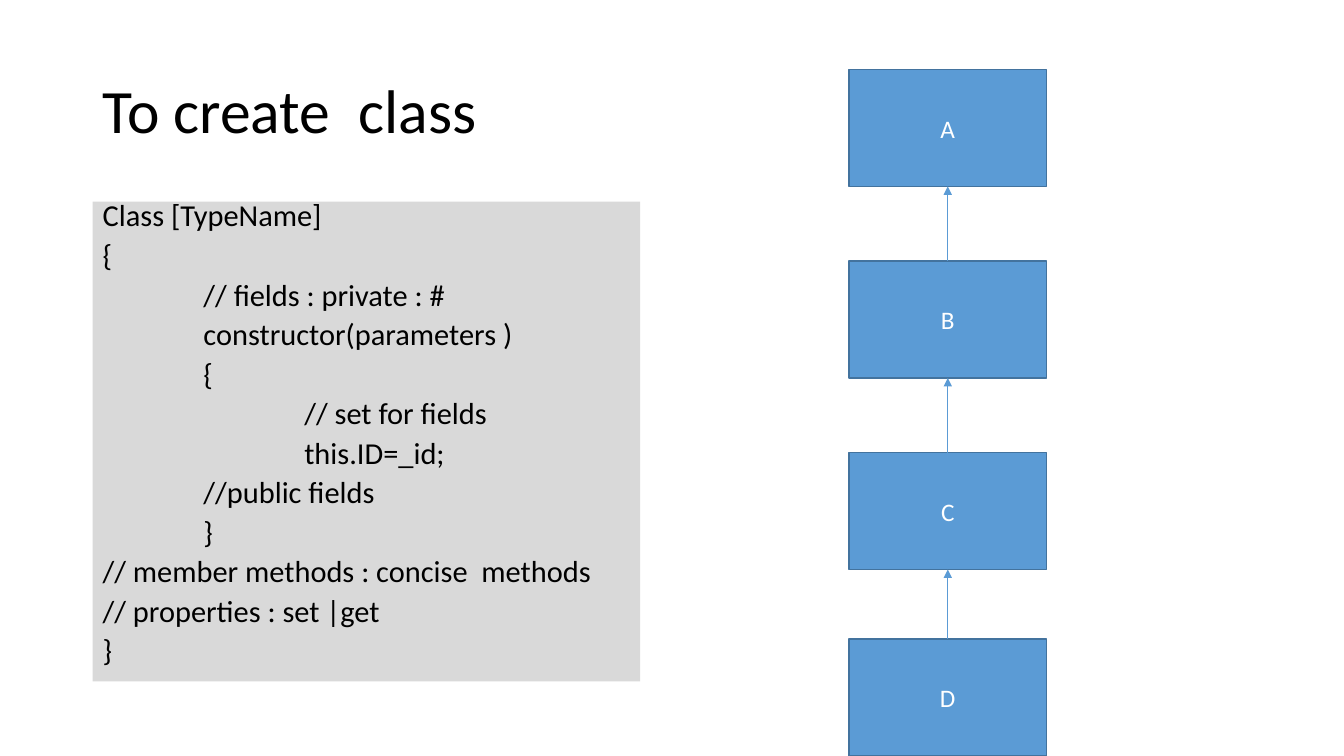
from dataclasses import dataclass

from lxml import etree
from pptx import Presentation
from pptx.dml.color import RGBColor
from pptx.enum.shapes import MSO_CONNECTOR, MSO_SHAPE
from pptx.enum.text import MSO_ANCHOR, PP_ALIGN
from pptx.oxml.ns import qn
from pptx.util import Inches, Pt

RECTANGLE = MSO_SHAPE.RECTANGLE
STRAIGHT = MSO_CONNECTOR.STRAIGHT
TOP, MIDDLE = MSO_ANCHOR.TOP, MSO_ANCHOR.MIDDLE
LEFT, CENTER = PP_ALIGN.LEFT, PP_ALIGN.CENTER


@dataclass(frozen=True)
class Theme:
    font: str = "Calibri"
    ink: str = "000000"
    code_fill: str = "D9D9D9"
    class_fill: str = "5B9BD5"
    class_border: str = "43739E"
    class_ink: str = "FFFFFF"
    title_size: float = 44
    code_size: float = 21.7
    class_size: float = 18


THEME = Theme()

TITLE = "To create  class"
CODE = """Class [TypeName]
{
\t// fields : private : #
\tconstructor(parameters )
\t{
\t\t// set for fields
\t\tthis.ID=_id;
\t//public fields
\t}
// member methods : concise  methods
// properties : set |get
}"""

# Inheritance chain: class name and top edge, base class first
CLASS_TOPS = {"A": 0.69, "B": 2.59, "C": 4.49, "D": 6.34}
CLASS_LEFT, CLASS_WIDTH, CLASS_HEIGHT = 8.42, 1.96, 1.16
ARROW_X = CLASS_LEFT + CLASS_WIDTH / 2


def color(hex_code):
    return RGBColor.from_string(hex_code)


def add_tab_stops(paragraph, stops):
    tab_list = etree.SubElement(paragraph._p.get_or_add_pPr(), qn("a:tabLst"))
    for stop in stops:
        etree.SubElement(tab_list, qn("a:tab"), pos=str(Inches(stop)), algn="l")


def write_text(shape, text, size, ink=THEME.ink, align=LEFT, anchor=TOP,
               line_spacing=1.0, space_before=0, tab_stops=()):
    """Fill a shape with one paragraph per line of text."""
    frame = shape.text_frame
    frame.word_wrap = True
    frame.vertical_anchor = anchor
    for index, line in enumerate(text.split("\n")):
        paragraph = frame.add_paragraph() if index else frame.paragraphs[0]
        if tab_stops:
            add_tab_stops(paragraph, tab_stops)
        paragraph.alignment = align
        paragraph.line_spacing = line_spacing
        paragraph.space_before = Pt(space_before if index else 0)
        run = paragraph.add_run()
        run.text = line
        run.font.name = THEME.font
        run.font.size = Pt(size)
        run.font.color.rgb = color(ink)


def add_panel(slide, left, top, width, height, fill, border=None):
    panel = slide.shapes.add_shape(
        RECTANGLE, Inches(left), Inches(top), Inches(width), Inches(height))
    panel.shadow.inherit = False
    panel.fill.solid()
    panel.fill.fore_color.rgb = color(fill)
    if border:
        panel.line.color.rgb = color(border)
        panel.line.width = Pt(1)
    else:
        panel.line.fill.background()
    return panel


def add_title(slide):
    title = slide.shapes.add_textbox(
        Inches(0.92), Inches(0.4), Inches(11.5), Inches(1.45))
    write_text(title, TITLE, THEME.title_size, anchor=MIDDLE, line_spacing=0.9)


def add_code(slide):
    code = add_panel(slide, 0.92, 2, 5.43, 4.76, THEME.code_fill)
    write_text(code, CODE, THEME.code_size, line_spacing=0.7, space_before=10,
               tab_stops=(1, 2))


def add_class_box(slide, name, top):
    box = add_panel(slide, CLASS_LEFT, top, CLASS_WIDTH, CLASS_HEIGHT,
                    THEME.class_fill, THEME.class_border)
    write_text(box, name, THEME.class_size, ink=THEME.class_ink,
               align=CENTER, anchor=MIDDLE)


def add_inheritance_arrow(slide, child_top, parent_bottom):
    arrow = slide.shapes.add_connector(
        STRAIGHT, Inches(ARROW_X), Inches(child_top),
        Inches(ARROW_X), Inches(parent_bottom))
    arrow.line.color.rgb = color(THEME.class_fill)
    arrow.line.width = Pt(0.5)
    etree.SubElement(arrow.line._get_or_add_ln(), qn("a:tailEnd"), type="triangle")
    etree.SubElement(arrow._element.spPr, qn("a:effectLst"))


def main():
    deck = Presentation()
    deck.slide_width, deck.slide_height = Inches(13.33), Inches(7.5)
    slide = deck.slides.add_slide(deck.slide_layouts[6])

    # Left: title and class syntax
    add_title(slide)
    add_code(slide)

    # Right: inheritance chain, each child pointing up to its parent
    for name, top in CLASS_TOPS.items():
        add_class_box(slide, name, top)
    tops = list(CLASS_TOPS.values())
    for parent_top, child_top in zip(tops, tops[1:]):
        add_inheritance_arrow(slide, child_top, parent_top + CLASS_HEIGHT)

    deck.save("out.pptx")


if __name__ == "__main__":
    main()
